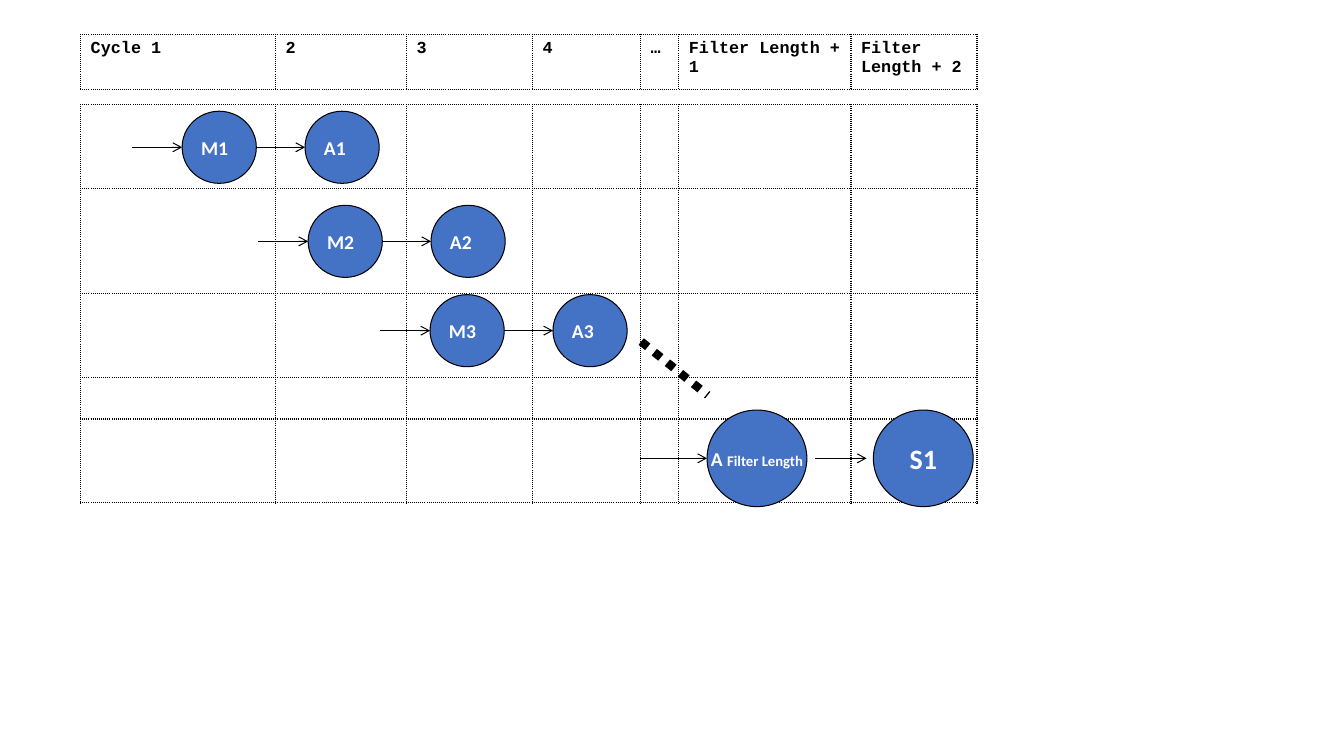
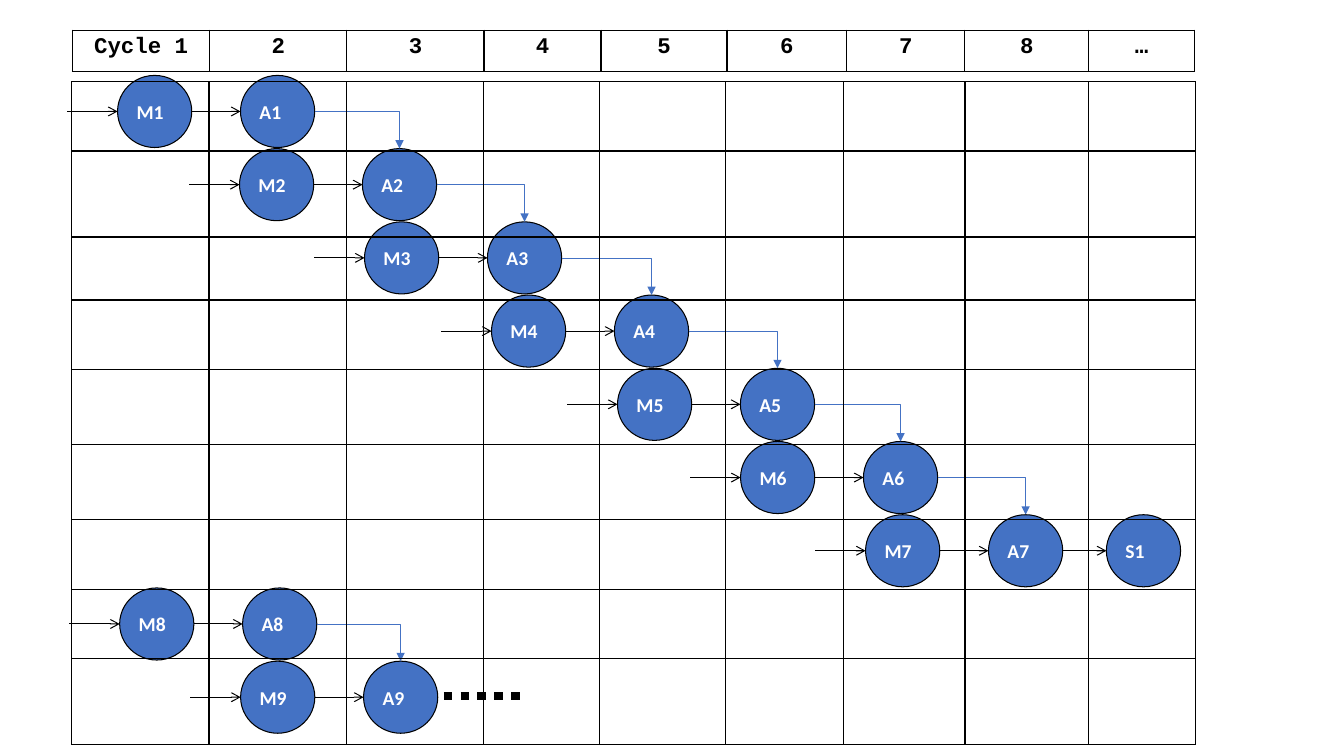
import pptx
import pptx.dml.color
import pptx.enum.dml
import pptx.enum.shapes
import pptx.enum.text
import pptx.oxml
import pptx.oxml.ns
import pptx.util

Pt = pptx.util.Pt
qn = pptx.oxml.ns.qn
ALIGN = pptx.enum.text.PP_ALIGN
CONNECTOR = pptx.enum.shapes.MSO_CONNECTOR

# Shared look
BLACK, WHITE, BLUE = "000000", "FFFFFF", "4472C4"
NODE_FONT, HEADER_FONT = "Calibri", "Courier New"
NODE_SIZE = (53, 51.5)
BIG_NODE_SIZE = (71.3, 69)
STAGE_GAP = 87.8     # from a multiply node to its add node
INPUT_LENGTH = 36    # arrow entering a multiply node
LABEL_INSET = 5.8

# Sides as connector sites, and as the sites an ellipse numbers by eighths
TOP, LEFT, RIGHT = 0, 1, 3
ELLIPSE_SITE = {TOP: "0", LEFT: "2", RIGHT: "6"}


def color(hex_value):
    return pptx.dml.color.RGBColor.from_string(hex_value)


def format_run(run, font, size, hex_value):
    run.font.name = font
    run.font.size = Pt(size)
    run.font.bold = True
    run.font.color.rgb = color(hex_value)


# Tables
def border_cell(cell, dash):
    cell.fill.background()
    properties = cell._tc.get_or_add_tcPr()
    for position, side in enumerate(("lnL", "lnR", "lnT", "lnB")):
        properties.insert(position, pptx.oxml.parse_xml(
            f'<a:{side} xmlns:a="http://schemas.openxmlformats.org/drawingml/2006/main" w="12700">'
            f'<a:solidFill><a:srgbClr val="{BLACK}"/></a:solidFill>'
            f'<a:prstDash val="{dash}"/></a:{side}>'))


def add_grid(slide, left, top, widths, heights, dash):
    grid = slide.shapes.add_table(
        len(heights), len(widths), Pt(left), Pt(top),
        Pt(sum(widths)), Pt(sum(heights))).table
    grid.first_row = grid.horz_banding = False
    for column, width in zip(grid.columns, widths):
        column.width = Pt(width)
    for row, height in zip(grid.rows, heights):
        row.height = Pt(height)
    for cell in grid.iter_cells():
        border_cell(cell, dash)
    return grid


def add_header(slide, left, top, widths, height, titles, size, align, dash):
    header = add_grid(slide, left, top, widths, [height], dash)
    for cell, title in zip(header.iter_cells(), titles):
        cell.text_frame.text = title
        paragraph = cell.text_frame.paragraphs[0]
        paragraph.alignment = align
        format_run(paragraph.runs[0], HEADER_FONT, size, BLACK)


# Nodes
def add_node(slide, label, x, y, big=False, size=14, suffix=""):
    """Draw a circle centred on x, y; a big one has a centred label."""
    width, height = BIG_NODE_SIZE if big else NODE_SIZE
    node = slide.shapes.add_shape(
        pptx.enum.shapes.MSO_SHAPE.OVAL,
        Pt(x - width / 2), Pt(y - height / 2), Pt(width), Pt(height))
    node.shadow.inherit = False
    node.fill.solid()
    node.fill.fore_color.rgb = color(BLUE)
    node.line.color.rgb = color(BLACK)
    node.line.width = Pt(0.75)

    frame = node.text_frame
    frame.word_wrap = not big
    frame.vertical_anchor = pptx.enum.text.MSO_ANCHOR.MIDDLE
    frame.margin_left = Pt(0 if big else LABEL_INSET)
    frame.margin_right = frame.margin_top = frame.margin_bottom = 0
    frame.text = label
    paragraph = frame.paragraphs[0]
    paragraph.alignment = ALIGN.CENTER if big else ALIGN.LEFT
    format_run(paragraph.runs[0], NODE_FONT, size, WHITE)
    if suffix:
        run = paragraph.add_run()
        run.text = suffix
        format_run(run, NODE_FONT, 10.5, WHITE)
    return node


# Lines and arrows
def add_line(slide, start=(0, 0), end=(0, 0), kind=CONNECTOR.STRAIGHT,
             hex_value=BLACK, width=0.75, head=None):
    line = slide.shapes.add_connector(kind, *map(Pt, (*start, *end)))
    line.line.color.rgb = color(hex_value)
    line.line.width = Pt(width)
    properties = line._element.spPr
    if head:
        pptx.oxml.ns  # namespace helpers are shared with qn
        tail = properties.find(qn("a:ln")).makeelement(qn("a:tailEnd"), {"type": head})
        properties.find(qn("a:ln")).append(tail)
    properties.append(properties.makeelement(qn("a:effectLst"), {}))
    return line


def add_dots(slide, start, end):
    dots = add_line(slide, start, end, width=6)
    dots.line.dash_style = pptx.enum.dml.MSO_LINE.ROUND_DOT


def join(line, source, target, target_side):
    """Join the right of one circle to a side of another."""
    line.begin_connect(source, RIGHT)
    line.end_connect(target, target_side)
    for tag, side in (("a:stCxn", RIGHT), ("a:endCxn", target_side)):
        next(line._element.iter(qn(tag))).set("idx", ELLIPSE_SITE[side])


def add_step(slide, source, target):
    join(add_line(slide, head="arrow"), source, target, LEFT)


def add_carry(slide, source, target):
    """Draw an elbow going right, then down into the next add node."""
    carry = add_line(slide, kind=CONNECTOR.ELBOW, hex_value=BLUE, width=0.5,
                     head="triangle")
    carry._element.spPr.find(qn("a:prstGeom")).set("prst", "bentConnector2")
    join(carry, source, target, TOP)


def add_stage(slide, number, x, y):
    """Draw input arrow, multiply node and add node; return the add node."""
    left = x - NODE_SIZE[0] / 2
    add_line(slide, (left - INPUT_LENGTH, y), (left, y), head="arrow")
    multiply = add_node(slide, f"M{number}", x, y)
    add = add_node(slide, f"A{number}", x + STAGE_GAP, y)
    add_step(slide, multiply, add)
    return add


# Slides
def build_general_pipeline(slide):
    left, dash = 57.6, "sysDot"
    widths = [139.2, 93.6, 90, 77.2, 27.3, 123, 90]
    add_grid(slide, left, 74.8, widths, [60, 75, 60, 29.5, 60], dash)

    for number, (x, y) in enumerate([(156.6, 105.2), (246.6, 172.4), (333.7, 236.2)], 1):
        add_stage(slide, number, x, y)
    add_dots(slide, (458, 244), (505.5, 282.3))

    # Last tap and its sum
    last_y = 327.4
    add_line(slide, (457.2, last_y), (505, last_y), head="arrow")
    add_node(slide, "A ", 540.7, last_y, big=True, suffix="Filter Length")
    add_line(slide, (582, last_y), (619, last_y), head="arrow")
    add_node(slide, "S1", 659.5, last_y, big=True, size=20)

    titles = ["Cycle 1", "2", "3", "4", "…", "Filter Length + 1", "Filter Length + 2"]
    add_header(slide, left, 24.5, widths, 39.6, titles, 12, ALIGN.LEFT, dash)


def build_seven_tap_pipeline(slide):
    first_y, row_step = 79.6, 52.3
    multiply_x = [110.5, 197.6, 286.9, 377.6, 467.6, 555.5, 644.8, 112, 198.4]
    last_tap = 7
    adds = [add_stage(slide, index + 1, x, first_y + index * row_step)
            for index, x in enumerate(multiply_x)]
    for index in range(1, len(adds)):
        if index != last_tap:
            add_carry(slide, adds[index - 1], adds[index])

    total = add_node(slide, "S1", 816.8, first_y + (last_tap - 1) * row_step)
    add_step(slide, adds[last_tap - 1], total)
    add_dots(slide, (317, 497), (373, 497))

    add_grid(slide, 51.3, 58.3, [98, 98, 98, 83, 90, 84.5, 86.5, 88, 76.5],
             [49.5, 61.5, 45, 49.5, 54, 53.5, 50, 49, 61.5], "solid")
    titles = ["Cycle 1", *map(str, range(2, 9)), "…"]
    add_header(slide, 51.8, 21.6, [98, 98, 98, 83.5, 90, 85.5, 84.5, 88.5, 75.5],
               29.5, titles, 16, ALIGN.CENTER, "solid")


def main():
    deck = pptx.Presentation()
    deck.slide_width, deck.slide_height = Pt(960), Pt(540)
    blank = deck.slide_layouts[6]
    for build in (build_general_pipeline, build_seven_tap_pipeline):
        build(deck.slides.add_slide(blank))
    deck.save("out.pptx")


if __name__ == "__main__":
    main()
